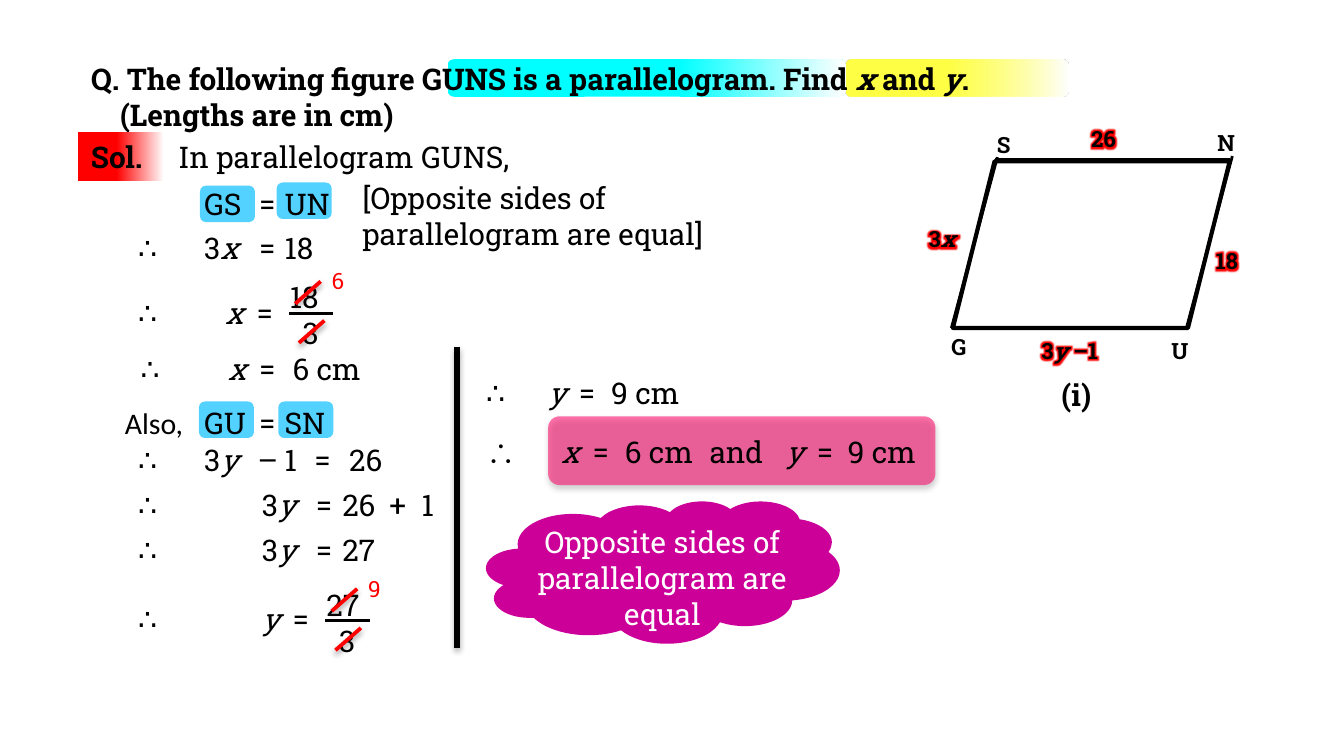
"""Build the slide that solves parallelogram GUNS for x and y."""
from dataclasses import dataclass
from typing import Optional

from lxml.etree import SubElement
from pptx import Presentation
from pptx.dml.color import RGBColor
from pptx.enum.shapes import MSO_CONNECTOR as Wire, MSO_SHAPE as Kind
from pptx.enum.text import MSO_AUTO_SIZE as Fit, PP_ALIGN as Align
from pptx.oxml import parse_xml
from pptx.oxml.ns import nsdecls, qn
from pptx.util import Cm, Pt

BLACK = RGBColor(0x00, 0x00, 0x00)
WHITE = RGBColor(0xFF, 0xFF, 0xFF)
RED = RGBColor(0xFF, 0x00, 0x00)
GREEN = RGBColor(0x00, 0xB0, 0x50)
BLUE = RGBColor(0x53, 0xD2, 0xFF)
CYAN = RGBColor(0x00, 0xFF, 0xFF)
YELLOW = RGBColor(0xFF, 0xFF, 0x00)
PINK = RGBColor(0xFF, 0x00, 0x66)
PURPLE = RGBColor(0xCC, 0x00, 0x99)
SLAB = "Roboto Slab"
HIGH = 0.94
WIDTHS = {"=": 0.84, "–": 0.84, "+": 0.84, "1": 0.84, "3": 0.89,
          "_x_": 0.76, "_y_": 0.76, "3_y_": 1.22, "6 cm": 2.1,
          "9 cm": 2.1, "and": 1.9, "Also,": 1.9}


@dataclass
class Label:
    text: str
    left: float
    top: float
    width: float
    height: float = HIGH
    size: int = 16
    bold: bool = False
    ink: RGBColor = BLACK
    font: str = SLAB
    wrap: bool = True
    align: Align = Align.LEFT
    glow: Optional[RGBColor] = None


@dataclass
class Row:
    top: float
    terms: list[tuple[float, str]]


@dataclass
class Stroke:
    start: tuple[float, float]
    end: tuple[float, float]
    ink: RGBColor = BLACK
    weight: float = 1.5
    shade: int = 0
    glow: Optional[RGBColor] = None


def make_glow(ink: RGBColor):
    return parse_xml(f'<a:effectLst {nsdecls("a")}><a:glow rad="63500">'
                     f'<a:srgbClr val="{ink}"/></a:glow></a:effectLst>')


def make_shade(alpha: int):
    return parse_xml(f'<a:effectLst {nsdecls("a")}><a:outerShdw blurRad="40000" dist="22000" '
                     f'dir="5400000" rotWithShape="0"><a:srgbClr val="{BLACK}">'
                     f'<a:alpha val="{alpha * 1000}"/></a:srgbClr></a:outerShdw></a:effectLst>')


def fade(color, alpha: int) -> None:
    SubElement(color, qn("a:alpha")).set("val", str(alpha * 1000))


def draw_text(slide, label: Label):
    box = slide.shapes.add_textbox(*map(Cm, (label.left, label.top, label.width, label.height)))
    frame = box.text_frame
    frame.word_wrap = label.wrap
    frame.auto_size = Fit.SHAPE_TO_FIT_TEXT
    for spot, line in enumerate(label.text.split("\n")):
        para = frame.add_paragraph() if spot else frame.paragraphs[0]
        para.alignment = label.align
        for part, text in enumerate(line.split("_")):
            if not text:
                continue
            run = para.add_run()
            run.text = text
            font = run.font
            font.size, font.name, font.bold = Pt(label.size), label.font, label.bold
            font.italic = part % 2 == 1
            font.color.rgb = label.ink
            if label.glow is not None:
                run._r.rPr.find(qn("a:solidFill")).addnext(make_glow(label.glow))
    return box


def draw_row(slide, row: Row) -> None:
    for left, text in row.terms:
        font = "Calibri" if text == "Also," else SLAB
        draw_text(slide, Label(text, left, row.top, WIDTHS.get(text, 1.52), font=font))


def draw_stroke(slide, stroke: Stroke) -> None:
    line = slide.shapes.add_connector(Wire.STRAIGHT, *map(Cm, stroke.start + stroke.end))
    line.line.color.rgb = stroke.ink
    line.line.width = Pt(stroke.weight)
    props = line._element.spPr
    if stroke.glow is not None:
        props.append(make_glow(stroke.glow))
    elif stroke.shade:
        props.append(make_shade(stroke.shade))
    else:
        SubElement(props, qn("a:effectLst"))


def draw_shape(slide, kind: Kind, area: tuple, ink: Optional[RGBColor] = None):
    shape = slide.shapes.add_shape(kind, *map(Cm, area))
    shape.line.fill.background()
    shape.shadow.inherit = False
    if ink is None:
        shape.fill.background()
    else:
        shape.fill.solid()
        shape.fill.fore_color.rgb = ink
    return shape


def blend(shape, ink: RGBColor, start: float) -> None:
    shape.fill.gradient()
    shape.fill.gradient_angle = 0
    for stop, color, place in zip(shape.fill.gradient_stops, (ink, WHITE), (start, 1)):
        stop.color.rgb = color
        stop.position = place


def draw_ratio(slide, left: float, top: float, value: str, answer: str) -> None:
    draw_stroke(slide, Stroke((left, top), (left + 0.84, top)))
    draw_row(slide, Row(top - 0.77, [(left - 0.23, value)]))
    draw_row(slide, Row(top - 0.09, [(left + 0.01, "3")]))
    for right, rise in ((0.67, 0.14), (0.6, -0.6)):
        draw_stroke(slide, Stroke((left + right, top + rise),
                                  (left + right - 0.48, top + rise + 0.42), RED, 2, 38))
    draw_text(slide, Label(answer, left + 0.56, top - 0.99, 0.58, 0.76, 12, ink=RED))


def draw_figure(slide) -> None:
    shape = draw_shape(slide, Kind.PARALLELOGRAM, (18.01, 3.05, 5.23, 3.15))
    shape.line.color.rgb = BLACK
    shape.line.width = Pt(2.25)
    for text, left, top in (("S", 18.59, 2.36), ("N", 22.76, 2.31),
                            ("G", 17.73, 6.17), ("U", 21.89, 6.25)):
        draw_text(slide, Label(text, left, top, 0.86, 0.76, 12, True))
    for start, end in (((18.85, 2.97), (17.98, 6.2)), ((23.29, 2.95), (22.43, 6.17)),
                       ((18.8, 3.02), (23.24, 3.02)), ((18.01, 6.22), (22.45, 6.22))):
        draw_stroke(slide, Stroke(start, end, glow=GREEN))
    for text, left, top, width in (("3_x_", 17.3, 4.14, 1.07), ("18", 22.73, 4.55, 1.07),
                                   ("3_y_ –1", 19.43, 6.25, 1.7), ("26", 20.37, 2.24, 1.07)):
        draw_text(slide, Label(text, left, top, width, 0.76, 12, True, wrap=False, glow=RED))
    draw_text(slide, Label("(i)", 19.81, 6.99, 1.09, bold=True))


ROWS = [
    Row(3.38, [(3.61, "GS"), (4.65, "="), (5.13, "UN")]),
    Row(4.22, [(2.36, "∴"), (3.61, "3_x_"), (4.65, "="), (5.13, "18")]),
    Row(5.44, [(2.36, "∴"), (4.01, "_x_"), (4.6, "=")]),
    Row(6.5, [(2.41, "∴"), (4.06, "_x_"), (4.65, "="), (5.28, "6 cm")]),
    Row(7.52, [(2.11, "Also,"), (3.61, "GU"), (4.65, "="), (5.13, "SN")]),
    Row(8.23, [(2.36, "∴"), (3.61, "3_y_"), (4.62, "–"), (5.13, "1"), (5.69, "="), (6.35, "26")]),
    Row(9.07, [(2.36, "∴"), (4.7, "3_y_"), (5.72, "="), (6.22, "26"), (7.11, "+"), (7.72, "1")]),
    Row(9.93, [(2.36, "∴"), (4.7, "3_y_"), (5.72, "="), (6.22, "27")]),
    Row(11.23, [(2.36, "∴"), (4.7, "_y_"), (5.28, "=")]),
    Row(6.96, [(8.94, "∴"), (10.11, "_y_"), (10.69, "="), (11.3, "9 cm")]),
    Row(8.08, [(10.36, "_x_"), (10.95, "="), (11.56, "6 cm"), (13.16, "and"),
               (14.6, "_y_"), (15.19, "="), (15.77, "9 cm")]),
]


def main() -> None:
    deck = Presentation()
    deck.slide_width, deck.slide_height = Cm(25.4), Cm(14.29)
    slide = deck.slides.add_slide(deck.slide_layouts[6])

    result = draw_shape(slide, Kind.ROUNDED_RECTANGLE, (10.36, 7.87, 7.32, 1.3), PINK)
    props = result._element.spPr
    fade(props.find(f".//{qn('a:srgbClr')}"), 54)
    props.replace(props.find(qn("a:effectLst")), make_shade(35))

    mark = draw_shape(slide, Kind.ROUNDED_RECTANGLE, (15.98, 1.12, 4.22, 0.71), YELLOW)
    blend(mark, YELLOW, 0.45)
    fade(mark._element.spPr.find(f".//{qn('a:srgbClr')}"), 73)
    for left, top in ((5.26, 7.59), (3.76, 7.59), (5.23, 3.45), (3.78, 3.51)):
        draw_shape(slide, Kind.ROUNDED_RECTANGLE, (left, top, 1.04, 0.69), BLUE)
    mark = draw_shape(slide, Kind.ROUNDED_RECTANGLE, (8.46, 1.12, 7.52, 0.71), CYAN)
    blend(mark, CYAN, 0.58)

    title = draw_text(slide, Label("Q. The following figure GUNS is a parallelogram. Find _x_ and _y_.\n"
                                   "(Lengths are in cm)", 1.47, 1.02, 22.86, 1.63, bold=True))
    title.text_frame.paragraphs[1]._p.get_or_add_pPr().set("marL", str(Cm(0.55)))
    blend(draw_text(slide, Label("Sol.", 1.47, 2.49, 1.63, bold=True, wrap=False)), RED, 0.45)
    draw_text(slide, Label("In parallelogram GUNS,", 3.12, 2.49, 7.24))
    draw_text(slide, Label("[Opposite sides of parallelogram are equal]", 6.6, 3.28, 8, 1.63))

    for row in ROWS:
        draw_row(slide, row)
    draw_text(slide, Label("∴", 8.94, 8.08, 1.02, font="Arial"))
    draw_ratio(slide, 5.46, 5.92, "18", "6")
    draw_ratio(slide, 6.15, 11.73, "27", "9")
    draw_stroke(slide, Stroke((8.64, 6.55), (8.64, 12.24), BLACK, 3, 35))
    draw_figure(slide)

    draw_shape(slide, Kind.CLOUD, (9.19, 9.47, 6.68, 2.69), PURPLE)
    draw_text(slide, Label("Opposite sides of parallelogram are equal", 9.37, 9.78, 6.3, 2.31,
                           ink=WHITE, align=Align.CENTER))
    deck.save("out.pptx")


if __name__ == "__main__":
    main()
